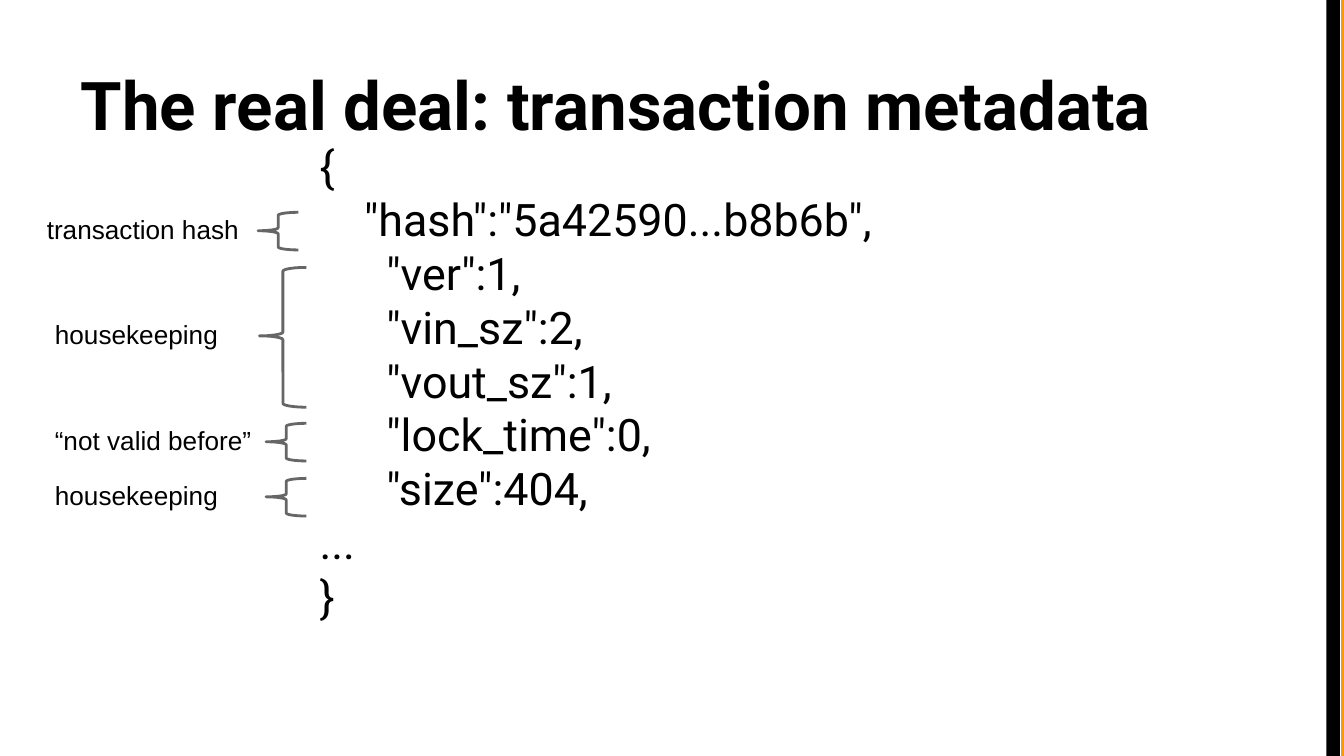
"""Build the slide on transaction metadata with its annotated JSON listing."""
from pptx import Presentation
from pptx.dml.color import RGBColor
from pptx.enum.shapes import MSO_SHAPE as Shape
from pptx.enum.text import MSO_ANCHOR as Anchor, MSO_AUTO_SIZE as AutoSize, PP_ALIGN as Align
from pptx.util import Inches, Pt


def color(hex_string):
    return RGBColor.from_string(hex_string)


def write(box, paragraphs, font, size, bold=False, anchor=Anchor.TOP, pitch=None):
    frame = box.text_frame
    frame.word_wrap = True
    frame.auto_size = AutoSize.NONE
    frame.vertical_anchor = anchor
    frame.margin_left = frame.margin_right = Inches(0.1)
    frame.margin_top = frame.margin_bottom = Inches(0.1)
    for index, text in enumerate(paragraphs):
        paragraph = frame.add_paragraph() if index else frame.paragraphs[0]
        paragraph.alignment = Align.LEFT
        if pitch:
            paragraph.line_spacing = Pt(pitch)
        for row, line in enumerate(text.split("\n")):
            if row:
                paragraph.add_line_break()
            run = paragraph.add_run()
            run.text = line
            run.font.name = font
            run.font.size = Pt(size)
            run.font.bold = bold
            run.font.color.rgb = color("000000")


prs = Presentation()
prs.slide_width = Inches(10)
prs.slide_height = prs.slide_width * 9 // 16
slide = prs.slides.add_slide(prs.slide_layouts[5])
shapes = slide.shapes

for left, fill in [(9.98, "FF9900"), (9.87, "000000")]:
    stripe = shapes.add_shape(Shape.RECTANGLE, Inches(left), 0, Inches(0.1), prs.slide_height)
    stripe.shadow.inherit = False
    stripe.fill.solid()
    stripe.fill.fore_color.rgb = color(fill)
    stripe.line.fill.background()

title = shapes.title
title.left, title.top = Inches(0.5), Inches(0.23)
title.width, title.height = Inches(9), Inches(0.94)
write(title, ["The real deal: transaction metadata"], "Roboto", 36, bold=True, anchor=Anchor.BOTTOM)

fields = """{
    "hash":"5a42590...b8b6b",
      "ver":1,
      "vin_sz":2,
      "vout_sz":1,
      "lock_time":0,
      "size":404,"""
listing = shapes.add_textbox(Inches(2.28), Inches(0.93), Inches(9), Inches(4.53))
write(listing, [fields, "...", "}"], "Roboto", 24, pitch=28.8)

annotations = [
    ("transaction hash", 0.25, 1.49, 1.73, (1.92, 1.58, 0.3, 0.28)),
    ("housekeeping", 0.31, 2.27, 1.62, (1.93, 1.99, 0.35, 1.04)),
    ("“not valid before”", 0.31, 3.06, 1.73, (1.98, 3.15, 0.3, 0.28)),
    ("housekeeping", 0.31, 3.47, 1.62, (1.98, 3.56, 0.3, 0.28)),
]
for meaning, left, top, width, span in annotations:
    label = shapes.add_textbox(Inches(left), Inches(top), Inches(width), Inches(0.46))
    write(label, [meaning], "Arial", 14)
    brace = shapes.add_shape(Shape.LEFT_BRACE, *map(Inches, span))
    brace.shadow.inherit = False
    brace.adjustments[0] = 0.08
    brace.adjustments[1] = 0.49
    brace.fill.background()
    brace.line.color.rgb = color("666666")
    brace.line.width = Pt(1.5)

prs.save("out.pptx")
